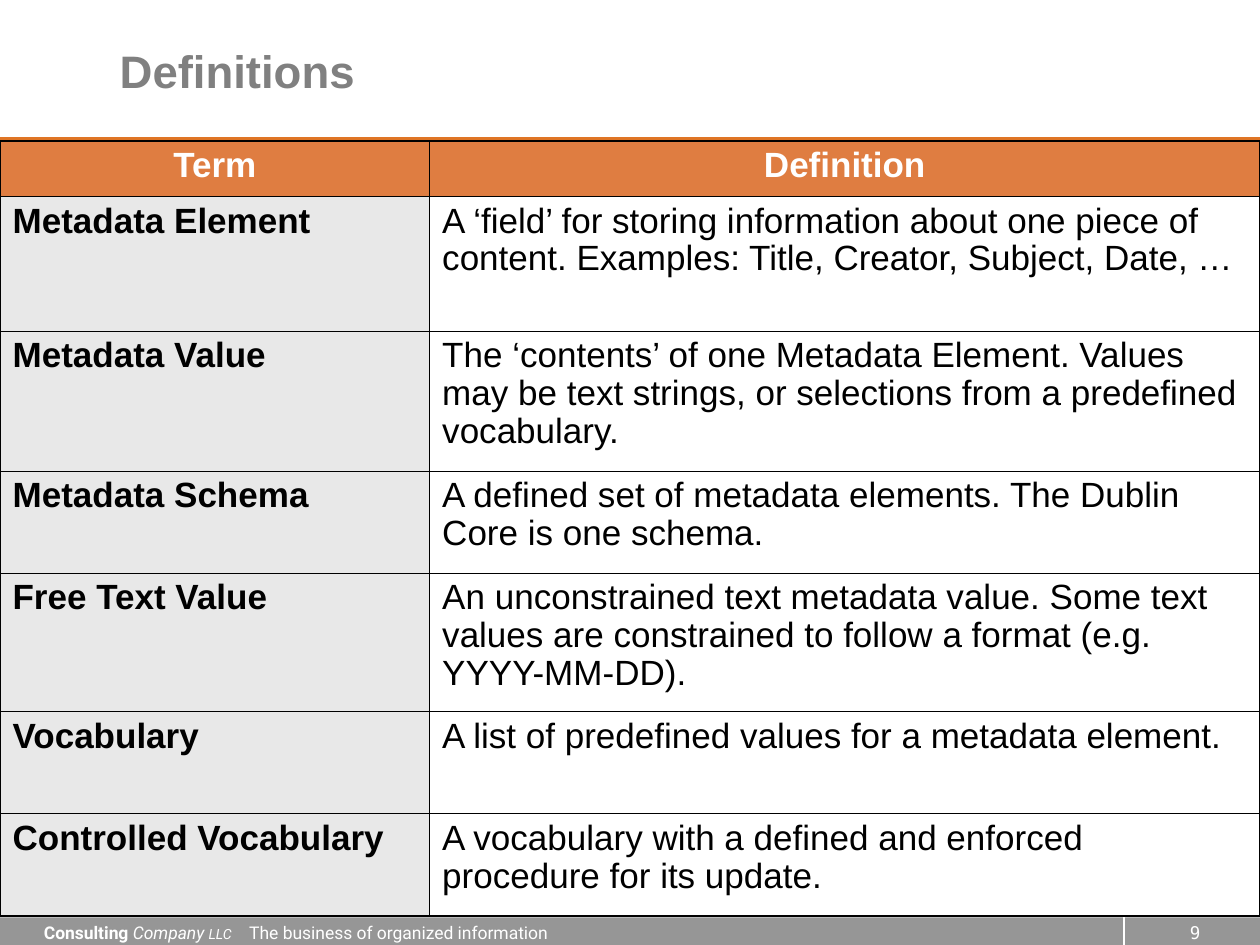
"""Build a slide with a table of metadata definitions."""
from lxml import etree
from pptx import Presentation
from pptx.dml.color import RGBColor
from pptx.enum.shapes import MSO_CONNECTOR, MSO_SHAPE
from pptx.enum.text import MSO_ANCHOR, MSO_AUTO_SIZE, PP_ALIGN
from pptx.oxml.ns import qn
from pptx.util import Inches, Pt

STRAIGHT = MSO_CONNECTOR.STRAIGHT
RECTANGLE = MSO_SHAPE.RECTANGLE
MIDDLE = MSO_ANCHOR.MIDDLE
NO_FIT = MSO_AUTO_SIZE.NONE
LEFT, CENTER = PP_ALIGN.LEFT, PP_ALIGN.CENTER

BLACK = RGBColor(0x00, 0x00, 0x00)
WHITE = RGBColor(0xFF, 0xFF, 0xFF)
TITLE_GRAY = RGBColor(0x80, 0x80, 0x80)
FOOTER_GRAY = RGBColor(0x96, 0x96, 0x96)
TERM_GRAY = RGBColor(0xE8, 0xE8, 0xE8)
RULE_ORANGE = RGBColor(0xDF, 0x75, 0x25)
HEADER_ORANGE = RGBColor(0xDF, 0x7D, 0x41)

THICK, THIN = Pt(1.08), Pt(0.45)
COLUMN_WIDTHS = [3.41, 6.59]
ROW_HEIGHTS = [0.44, 1.07, 1.11, 0.81, 1.1, 0.81, 0.81]
ROWS = [
    ("Term", "Definition"),
    ("Metadata Element",
     "A ‘field’ for storing information about one piece of content. "
     "Examples: Title, Creator, Subject, Date, …"),
    ("Metadata Value",
     "The ‘contents’ of one Metadata Element. Values may be text strings, "
     "or selections from a predefined vocabulary."),
    ("Metadata Schema",
     "A defined set of metadata elements. The Dublin Core is one schema."),
    ("Free Text Value",
     "An unconstrained text metadata value. Some text values are constrained "
     "to follow a format (e.g. YYYY-MM-DD)."),
    ("Vocabulary", "A list of predefined values for a metadata element."),
    ("Controlled Vocabulary",
     "A vocabulary with a defined and enforced procedure for its update."),
]
FOOTER_SPANS = [
    ("Consulting ", {"bold": True}),
    ("Company ", {"italic": True}),
    ("LLC", {"size": 8, "italic": True}),
    ("\tThe business of organized information", {}),
]


def add_span(para, text, size=10, font="Roboto", color=WHITE, bold=False, italic=False):
    span = para.add_run()
    span.text = text
    span.font.size = Pt(size)
    span.font.name = font
    span.font.color.rgb = color
    span.font.bold = bold
    span.font.italic = italic


def set_border(cell, side, width):
    line = etree.SubElement(cell._tc.get_or_add_tcPr(), qn(f"a:ln{side}"), w=str(width))
    fill = etree.SubElement(line, qn("a:solidFill"))
    etree.SubElement(fill, qn("a:srgbClr"), val=str(BLACK))


deck = Presentation()
deck.slide_width, deck.slide_height = Inches(10), Inches(7.5)
page = deck.slides.add_slide(deck.slide_layouts[5])
shapes = page.shapes

footer_bar = shapes.add_shape(RECTANGLE, Inches(0), Inches(7.28), Inches(10), Inches(0.25))
footer_bar.shadow.inherit = False
footer_bar.fill.solid()
footer_bar.fill.fore_color.rgb = FOOTER_GRAY
footer_bar.line.fill.background()

number_box = shapes.add_textbox(Inches(9.23), Inches(7.27), Inches(0.51), Inches(0.29))
number_box.text_frame.word_wrap = True
number_para = number_box.text_frame.paragraphs[0]
number_para.alignment = CENTER
add_span(number_para, "9", font="DejaVu Sans Mono")

footer_box = shapes.add_textbox(Inches(0.25), Inches(7.27), Inches(4.64), Inches(0.27))
footer_box.text_frame.word_wrap = True
footer_para = footer_box.text_frame.paragraphs[0]
tab_list = etree.SubElement(footer_para._p.get_or_add_pPr(), qn("a:tabLst"))
etree.SubElement(tab_list, qn("a:tab"), pos=str(Inches(1.63)), algn="l")
for text, style in FOOTER_SPANS:
    add_span(footer_para, text, **style)

for left, top, right, bottom, color, width in [
    (8.92, 7.25, 8.92, 7.58, WHITE, 0.75),
    (0, 1.1, 10, 1.1, RULE_ORANGE, 2.25),
]:
    rule = shapes.add_connector(STRAIGHT, Inches(left), Inches(top), Inches(right), Inches(bottom))
    rule.line.color.rgb = color
    rule.line.width = Pt(width)
    etree.SubElement(rule._element.spPr, qn("a:effectLst"))

title = shapes.title
title.left, title.top = Inches(0.95), Inches(0)
title.width, title.height = Inches(9.05), Inches(1.12)
title_frame = title.text_frame
title_frame.auto_size = NO_FIT
title_frame.vertical_anchor = MIDDLE
title_frame.margin_left = title_frame.margin_right = Inches(0)
title_frame.margin_top = title_frame.margin_bottom = Inches(0)
title_para = title_frame.paragraphs[0]
title_para.alignment = LEFT
add_span(title_para, "Definitions", size=26, font="Arial", color=TITLE_GRAY, bold=True)

table = shapes.add_table(
    len(ROWS), len(COLUMN_WIDTHS), Inches(0), Inches(1.12), Inches(10), Inches(sum(ROW_HEIGHTS))
).table
table.horz_banding = False
for column, width in zip(table.columns, COLUMN_WIDTHS):
    column.width = Inches(width)
for row, height in zip(table.rows, ROW_HEIGHTS):
    row.height = Inches(height)

for row_index, texts in enumerate(ROWS):
    is_header = row_index == 0
    is_last = row_index == len(ROWS) - 1
    for column_index, text in enumerate(texts):
        is_term = column_index == 0
        cell = table.cell(row_index, column_index)
        set_border(cell, "L", THICK if is_term else THIN)
        set_border(cell, "R", THIN if is_term else THICK)
        set_border(cell, "T", THICK if is_header else THIN)
        set_border(cell, "B", THICK if is_last else THIN)
        if is_header or is_term:
            cell.fill.solid()
            cell.fill.fore_color.rgb = HEADER_ORANGE if is_header else TERM_GRAY
        else:
            cell.fill.background()
        para = cell.text_frame.paragraphs[0]
        para.alignment = CENTER if is_header else LEFT
        para.line_spacing = 0.97
        add_span(para, text, size=20, font="Arial",
                 color=WHITE if is_header else BLACK, bold=is_header or is_term)

deck.save("out.pptx")
